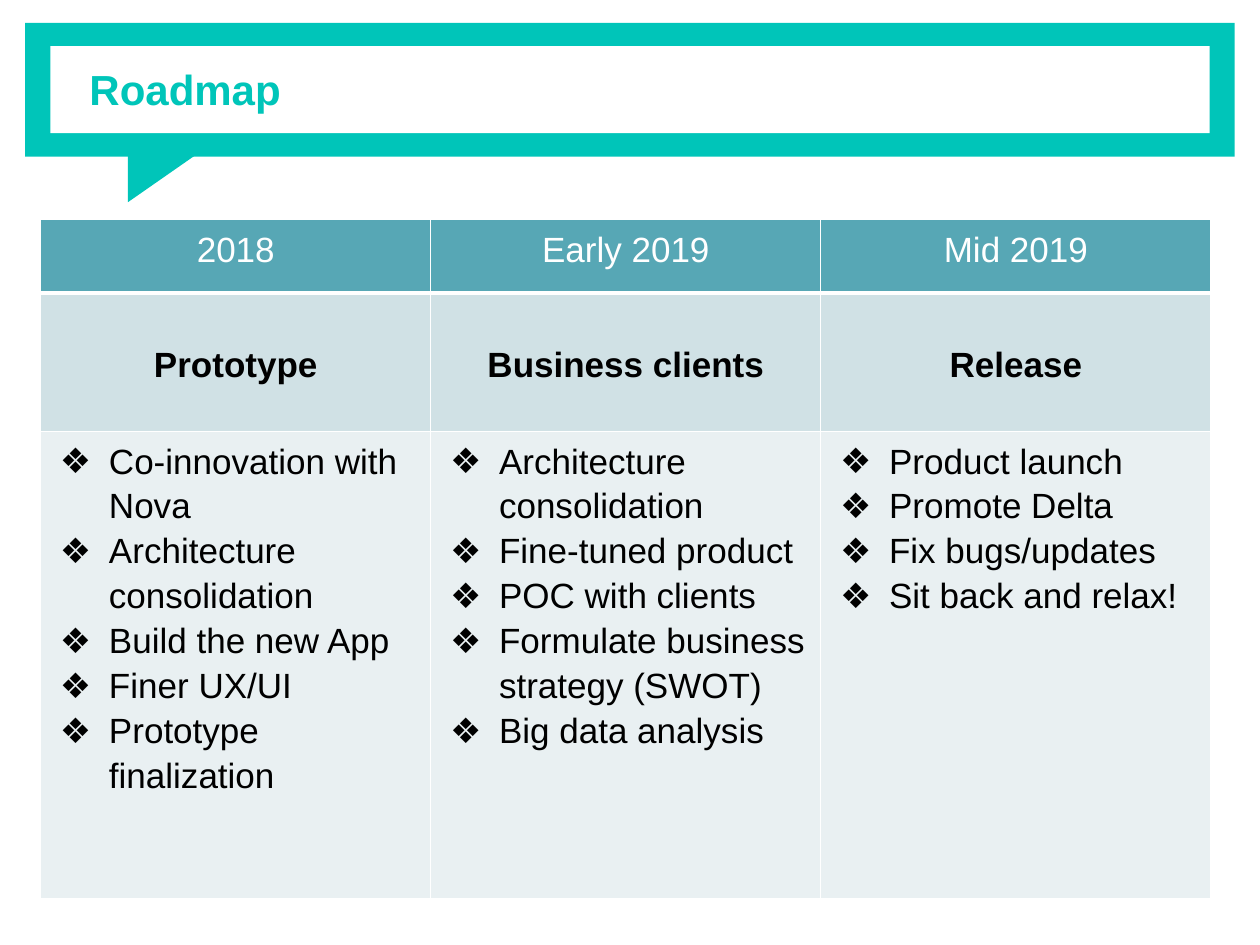
from lxml.etree import SubElement
from pptx import Presentation
from pptx.dml.color import RGBColor
from pptx.enum.shapes import MSO_SHAPE
from pptx.enum.text import MSO_ANCHOR, MSO_AUTO_SIZE, PP_ALIGN
from pptx.oxml import parse_xml
from pptx.oxml.ns import nsdecls, qn
from pptx.util import Pt

TEAL = RGBColor(0x00, 0xC5, 0xB9)
WHITE = RGBColor(0xFF, 0xFF, 0xFF)
BLACK = RGBColor(0x00, 0x00, 0x00)
HEAD = RGBColor(0x57, 0xA7, 0xB5)
STAGE = RGBColor(0xD0, 0xE1, 0xE5)
BODY = RGBColor(0xE9, 0xF0, 0xF2)
FONT = "Arial"

PHASES = [
    ("2018", "Prototype", [
        "Co-innovation with Nova", "Architecture consolidation",
        "Build the new App", "Finer UX/UI", "Prototype finalization"]),
    ("Early 2019", "Business clients", [
        "Architecture consolidation", "Fine-tuned product",
        "POC with clients", "Formulate business strategy (SWOT)",
        "Big data analysis"]),
    ("Mid 2019", "Release", [
        "Product launch", "Promote Delta", "Fix bugs/updates",
        "Sit back and relax!"]),
]


def add_run(para, text, size, color, bold=False):
    run = para.add_run()
    run.text = text
    font = run.font
    font.name, font.size, font.bold = FONT, Pt(size), bold
    font.color.rgb = color


def add_block(slide, kind, box, color):
    shape = slide.shapes.add_shape(kind, *map(Pt, box))
    shape.shadow.inherit = False
    shape.fill.solid()
    shape.fill.fore_color.rgb = color
    shape.line.fill.background()
    return shape


def add_banner(slide, text, left, top, width, height):
    rim_x, rim_y = 14.4, 13.4
    add_block(slide, MSO_SHAPE.RECTANGLE, (left, top, width, height), TEAL)
    tail = add_block(slide, MSO_SHAPE.RIGHT_TRIANGLE,
                     (left + 66.2, top + 60.4, 34.6, 49.7), TEAL)
    tail.rotation = 90
    add_block(slide, MSO_SHAPE.RECTANGLE,
              (left + rim_x, top + rim_y,
               width - 2 * rim_x, height - 2 * rim_y), WHITE)

    title = slide.shapes.title
    title.left, title.top = Pt(left + 29.5), Pt(top - 0.5)
    title.width, title.height = Pt(626), Pt(height)
    title.element.getparent().append(title.element)
    frame = title.text_frame
    frame.auto_size = MSO_AUTO_SIZE.NONE
    frame.word_wrap = True
    frame.vertical_anchor = MSO_ANCHOR.MIDDLE
    frame.margin_left = frame.margin_right = Pt(7.2)
    frame.margin_top = frame.margin_bottom = Pt(7.2)
    para = frame.paragraphs[0]
    para.alignment = PP_ALIGN.LEFT
    add_run(para, text, 24, TEAL, True)


def add_edges(cell, top, bottom):
    props = cell._tc.get_or_add_tcPr()
    edges = (("L", 0.75), ("R", 0.75), ("T", top), ("B", bottom))
    for spot, (side, width) in enumerate(edges):
        props.insert(spot, parse_xml(
            f'<a:ln{side} {nsdecls("a")} w="{Pt(width)}"><a:solidFill>'
            f'<a:srgbClr val="{WHITE}"/></a:solidFill></a:ln{side}>'))


def add_bullet(para):
    props = para._p.get_or_add_pPr()
    props.set("marL", str(Pt(36)))
    props.set("indent", str(-Pt(28)))
    tint = SubElement(props, qn("a:buClr"))
    SubElement(tint, qn("a:srgbClr")).set("val", str(BLACK))
    SubElement(props, qn("a:buFont")).set("typeface", FONT)
    SubElement(props, qn("a:buChar")).set("char", "❖")


def fill_cell(cell, lines, fill, color, bold=False, listed=False):
    cell.margin_left = cell.margin_right = Pt(3)
    cell.margin_top = cell.margin_bottom = Pt(3)
    cell.fill.solid()
    cell.fill.fore_color.rgb = fill
    frame = cell.text_frame
    for spot, line in enumerate(lines):
        para = frame.add_paragraph() if spot else frame.paragraphs[0]
        para.line_spacing = 1.15
        para.alignment = PP_ALIGN.LEFT if listed else PP_ALIGN.CENTER
        if listed:
            add_bullet(para)
        add_run(para, line, 20, color, bold)


def add_plan(slide, phases, left, top, width, heights):
    table = slide.shapes.add_table(
        len(heights), len(phases), Pt(left), Pt(top),
        Pt(width), Pt(sum(heights))).table
    table.first_row = table.horz_banding = False
    for row, height in zip(table.rows, heights):
        row.height = Pt(height)
    for col, (date, stage, tasks) in enumerate(phases):
        table.columns[col].width = Pt(width / len(phases))
        head, mid, body = (table.cell(row, col) for row in range(3))
        fill_cell(head, [date], HEAD, WHITE)
        fill_cell(mid, [stage], STAGE, BLACK, bold=True)
        mid.vertical_anchor = MSO_ANCHOR.MIDDLE
        fill_cell(body, tasks, BODY, BLACK, listed=True)
        add_edges(head, 0.75, 2.25)
        add_edges(mid, 2.25, 0.75)
        add_edges(body, 0.75, 0.75)


def main():
    deck = Presentation()
    deck.slide_width, deck.slide_height = Pt(720), Pt(540)
    slide = deck.slides.add_slide(deck.slide_layouts[5])
    add_banner(slide, "Roadmap", 14.4, 13, 691.2, 76.5)
    add_plan(slide, PHASES, 23.3, 125.5, 668.7, (42, 79, 267))
    deck.save("out.pptx")


if __name__ == "__main__":
    main()
